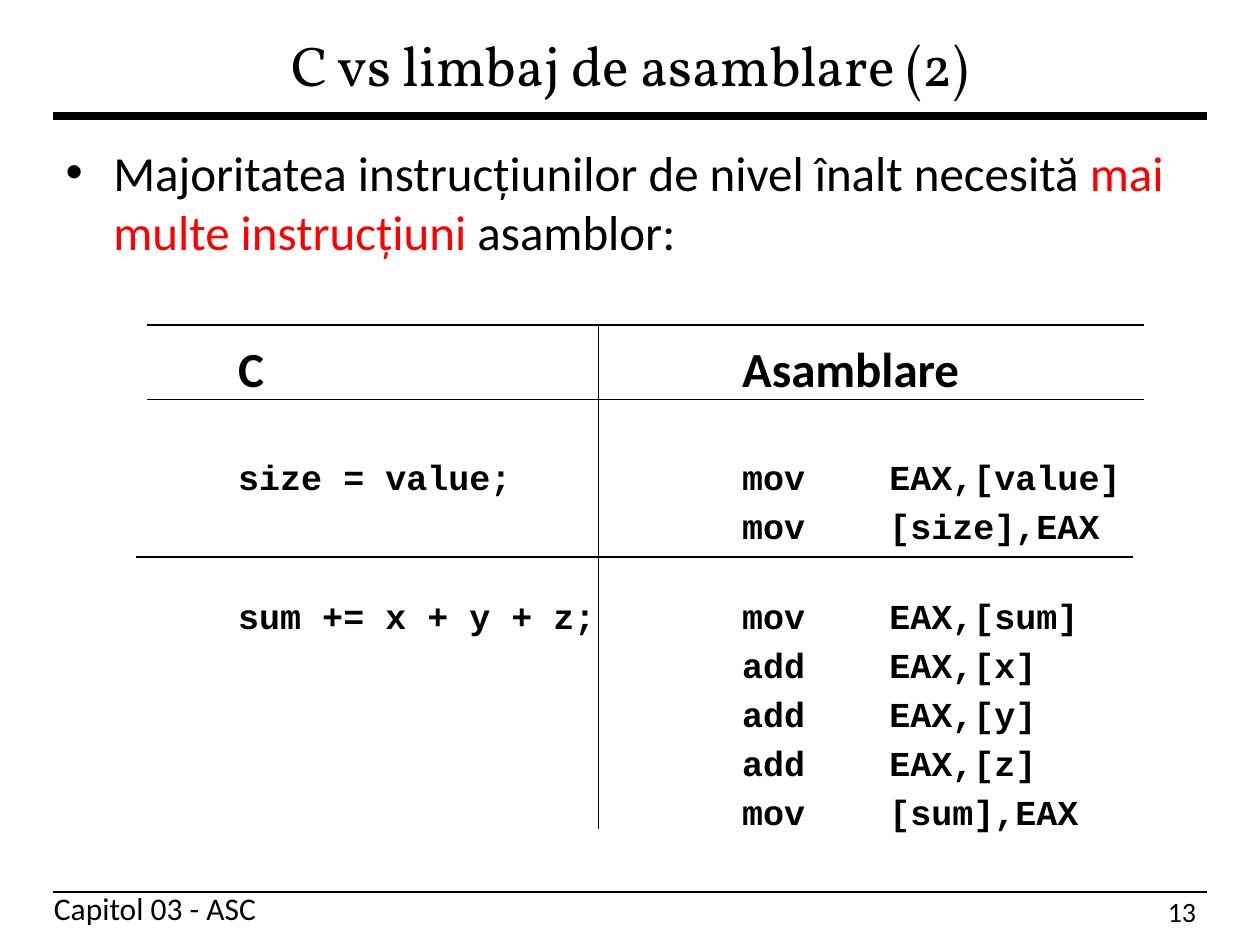
import pptx
import pptx.util
import pptx.dml.color
import pptx.enum.text
import pptx.enum.shapes
import pptx.oxml.ns
import lxml.etree

Inches = pptx.util.Inches
Pt = pptx.util.Pt
BLACK = "000000"
RED = "FF0000"
CODE_FONT = "Courier New"
TEXT_FONT = "Calibri"
LINE_GAP = 4
CODE_INDENT = 1.37
COLUMN_STEP = 4
OPERAND_SPACING = 36
LISTING = (
    ("size = value;", "mov", "EAX,[value]", 33.2),
    ("", "mov", "[size],EAX", LINE_GAP),
    ("sum += x + y + z;", "mov", "EAX,[sum]", 27.6),
    ("", "add", "EAX,[x]", LINE_GAP),
    ("", "add", "EAX,[y]", LINE_GAP),
    ("", "add", "EAX,[z]", LINE_GAP),
    ("", "mov", "[sum],EAX", LINE_GAP),
)


def color(value):
    return pptx.dml.color.RGBColor.from_string(value)


def add_run(para, text, font, size, shade=BLACK, bold=False):
    span = para.add_run()
    span.text = text
    span.font.name = font
    span.font.size = Pt(size)
    span.font.bold = bold
    span.font.color.rgb = color(shade)
    return span


def place(shape, box):
    shape.left, shape.top, shape.width, shape.height = map(Inches, box)


def set_indent(para, margin, indent):
    properties = para._p.get_or_add_pPr()
    properties.set("marL", str(Inches(margin)))
    properties.set("indent", str(Inches(indent)))
    return properties


def add_rule(page, start, end, width):
    rule = page.shapes.add_connector(
        pptx.enum.shapes.MSO_CONNECTOR.STRAIGHT,
        *map(Inches, start + end))
    rule.line.color.rgb = color(BLACK)
    rule.line.width = Pt(width)
    lxml.etree.SubElement(
        rule._element.spPr, pptx.oxml.ns.qn("a:effectLst"))


def add_label(page, box, text, size):
    label = page.shapes.add_textbox(*map(Inches, box))
    label.text_frame.word_wrap = False
    add_run(label.text_frame.paragraphs[0], text, TEXT_FONT, size)


def add_title(page, box):
    title = page.shapes.title
    place(title, box)
    frame = title.text_frame
    frame.auto_size = pptx.enum.text.MSO_AUTO_SIZE.NONE
    frame.vertical_anchor = pptx.enum.text.MSO_ANCHOR.MIDDLE
    para = frame.paragraphs[0]
    para.alignment = pptx.enum.text.PP_ALIGN.CENTER
    add_run(para, "C vs limbaj de asamblare (2)", "Vollkorn", 32)


def add_column_line(frame, gap):
    para = frame.add_paragraph()
    para.space_before = Pt(gap)
    properties = set_indent(para, CODE_INDENT, 0)
    properties.set("defTabSz", str(Inches(COLUMN_STEP)))
    lxml.etree.SubElement(properties, pptx.oxml.ns.qn("a:buNone"))
    return para


def add_body(page, box):
    body = page.placeholders[1]
    place(body, box)
    frame = body.text_frame
    frame.auto_size = pptx.enum.text.MSO_AUTO_SIZE.NONE
    intro = frame.paragraphs[0]
    intro.space_before = Pt(0)
    set_indent(intro, 0.38, -0.38)
    for text, shade in (
        ("Majoritatea instrucțiunilor de nivel înalt necesită ", BLACK),
        ("mai multe instrucțiuni ", RED),
        ("asamblor:", BLACK),
    ):
        add_run(intro, text, TEXT_FONT, 28, shade)
    heading = add_column_line(frame, 44.8)
    add_run(heading, "C\tAsamblare", TEXT_FONT, 28, bold=True)
    for statement, mnemonic, operands, gap in LISTING:
        para = add_column_line(frame, gap)
        add_run(para, f"{statement}\t{mnemonic}", CODE_FONT, 20, bold=True)
        spacer = add_run(para, " ", CODE_FONT, 20, bold=True)
        spacer._r.get_or_add_rPr().set("spc", str(OPERAND_SPACING * 100))
        add_run(para, operands, CODE_FONT, 20, bold=True)


def add_grid(page, box):
    left, top, width, height = box
    for shift, drop in ((0, 0), (0, 0.59), (-0.09, 1.84)):
        start = left + shift
        add_rule(page, (start, top + drop), (start + width, top + drop), 0.75)
    divider = left + 3.58
    add_rule(page, (divider, top), (divider, top + height), 0.75)


def add_frame(page, box):
    left, top, width, height = box
    right, bottom = left + width, top + height
    add_rule(page, (left, top), (right, top), 5)
    add_rule(page, (left, bottom), (right, bottom), 1.5)
    add_label(page, (left - 0.09, bottom - 0.07, 1.86, 0.4),
              "Capitol 03 - ASC", 18)
    add_label(page, (right - 0.41, bottom - 0.03, 0.43, 0.37), "13", 16)


def main():
    deck = pptx.Presentation()
    deck.slide_width = Inches(10)
    deck.slide_height = Inches(7.5)
    page = deck.slides.add_slide(deck.slide_layouts[1])
    add_frame(page, (0.42, 0.92, 9.16, 6.16))
    add_title(page, (0.42, 0.17, 9.17, 0.67))
    add_body(page, (0.42, 1.08, 9.17, 5.92))
    add_grid(page, (1.17, 2.58, 7.91, 4))
    deck.save("out.pptx")


if __name__ == "__main__":
    main()
